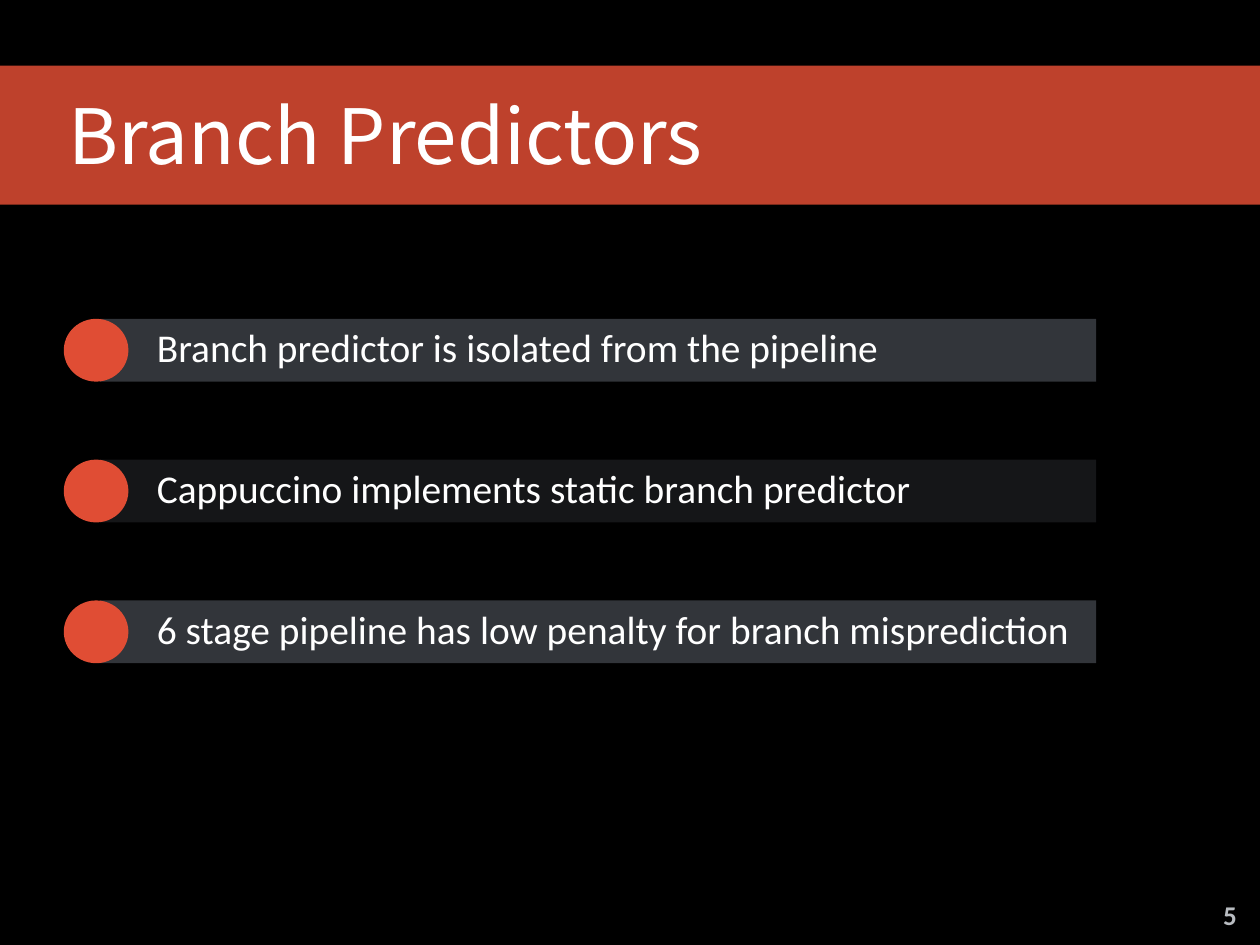
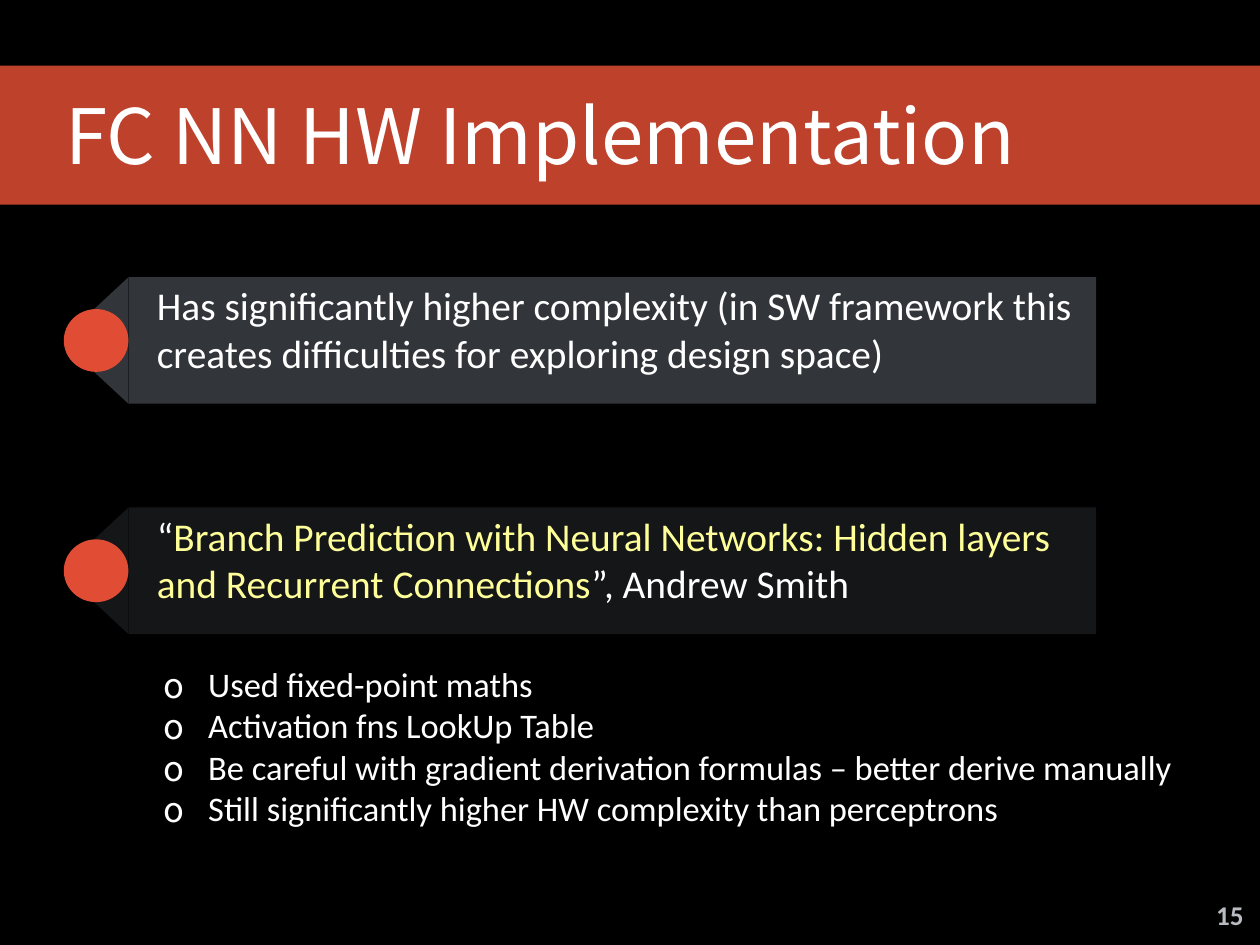
import lxml.etree
import pptx
import pptx.dml.color
import pptx.enum.shapes
import pptx.enum.text
import pptx.oxml.ns
import pptx.util

COLORS = {
    "background": "000000",
    "accent": "E04D34",
    "light bar": "32353A",
    "dark bar": "151618",
    "text": "FFFFFF",
    "highlight": "FFFF99",
    "number": "B8BCC1",
}
BODY_FONT = "Calibri"
TITLE_FONT = "Noto Sans CJK SC"
SHAPES = pptx.enum.shapes.MSO_SHAPE


def color(name):
    """Return the named colour."""
    return pptx.dml.color.RGBColor.from_string(COLORS[name])


def add_element(parent, tag, **attributes):
    """Append a DrawingML element to the parent."""
    return lxml.etree.SubElement(parent, pptx.oxml.ns.qn(tag), attributes)


def write(paragraph, text, size=32, font=BODY_FONT, fill="text", bold=False):
    """Add a formatted run to the paragraph."""
    run = paragraph.add_run()
    run.text = text
    run.font.size = pptx.util.Pt(size)
    run.font.name = font
    run.font.bold = bold
    run.font.color.rgb = color(fill)


class Deck:
    """Hold the style and the current slide, on a grid of 100 columns and 100 rows."""

    dot_left, dot_width, dot_height = 5.06, 5.13, 6.65
    text_left, bar_right = 12.1, 87

    def __init__(self):
        """Start an empty presentation."""
        self.presentation = pptx.Presentation()
        self.presentation.slide_width = pptx.util.Inches(14.22)
        self.presentation.slide_height = pptx.util.Inches(10.67)
        self.slide = None

    def x(self, columns):
        """Convert columns to a length."""
        return round(self.presentation.slide_width * columns / 100)

    def y(self, rows):
        """Convert rows to a length."""
        return round(self.presentation.slide_height * rows / 100)

    def add_slide(self, title, number, title_left=5.06):
        """Add a slide with its title band and number."""
        self.slide = self.presentation.slides.add_slide(self.presentation.slide_layouts[6])
        self.slide.background.fill.solid()
        self.slide.background.fill.fore_color.rgb = color("background")
        band = self.shape(SHAPES.RECTANGLE, 0, 6.94, 100, 14.71, "accent")
        fill = band.fill._xPr.find(".//" + pptx.oxml.ns.qn("a:srgbClr"))
        add_element(fill, "a:alpha", val="85000")
        frame = self.text_frame(title_left, 8.9, 100 - title_left, 10.78)
        write(frame.paragraphs[0], title, size=62, font=TITLE_FONT)
        frame = self.text_frame(95.92, 94.47, 3.38, 4.5, inset=0.06, wrap=False)
        frame.paragraphs[0].alignment = pptx.enum.text.PP_ALIGN.CENTER
        write(frame.paragraphs[0], str(number), size=22, fill="number", bold=True)

    def shape(self, kind, left, top, width, height, fill):
        """Add a plain filled shape."""
        shape = self.slide.shapes.add_shape(
            kind, self.x(left), self.y(top), self.x(width), self.y(height))
        shape.shadow.inherit = False
        shape.fill.solid()
        shape.fill.fore_color.rgb = color(fill)
        shape.line.fill.background()
        return shape

    def text_frame(self, left, top, width, height, inset=0.05, wrap=True):
        """Add a text box and return its frame."""
        frame = self.slide.shapes.add_textbox(
            self.x(left), self.y(top), self.x(width), self.y(height)).text_frame
        frame.word_wrap = wrap
        frame.margin_left = frame.margin_right = pptx.util.Inches(inset)
        frame.margin_top = frame.margin_bottom = pptx.util.Inches(inset)
        return frame

    def point(self, left, top, width, height, fill):
        """Add a trapezoid that narrows to the left."""
        shape = self.shape(SHAPES.TRAPEZOID, left, top, width, height, fill)
        shape.adjustments[0] = 0.93
        across, down = shape.width, shape.height
        shape.left += (across - down) // 2
        shape.top += (down - across) // 2
        shape.width, shape.height = down, across
        shape.rotation = 270

    def bar(self, top, height, fill, pieces, left=7.95, point_left=None):
        """Add a bar with its dot and text."""
        self.shape(SHAPES.RECTANGLE, left, top, self.bar_right - left, height, fill)
        if point_left is not None:
            self.point(point_left, top, left - point_left, height, fill)
        self.shape(SHAPES.OVAL, self.dot_left, top + (height - self.dot_height) / 2,
                   self.dot_width, self.dot_height, "accent")
        frame = self.text_frame(self.text_left, top, self.bar_right - self.text_left, height)
        for text, text_fill in pieces:
            write(frame.paragraphs[0], text, fill=text_fill)

    def bars(self, entries, top, step, height, **form):
        """Add evenly spaced bars in alternating shades."""
        for index, pieces in enumerate(entries):
            fill = ("light bar", "dark bar")[index % 2]
            self.bar(top + index * step, height, fill, pieces, **form)

    def bullets(self, lines, left, top, width, height):
        """Add a bulleted list."""
        frame = self.text_frame(left, top, width, height, inset=0.06)
        frame.vertical_anchor = pptx.enum.text.MSO_ANCHOR.MIDDLE
        indent = pptx.util.Inches(0.5)
        for index, line in enumerate(lines):
            paragraph = frame.add_paragraph() if index else frame.paragraphs[0]
            properties = paragraph._p.get_or_add_pPr()
            properties.set("marL", str(indent))
            properties.set("indent", str(-indent))
            bullet_color = add_element(properties, "a:buClr")
            add_element(bullet_color, "a:srgbClr", val=COLORS["text"])
            add_element(properties, "a:buFont", typeface=TITLE_FONT)
            add_element(properties, "a:buChar", char="o")
            write(paragraph, line, size=28)


def main():
    """Build and save the slides."""
    deck = Deck()
    deck.add_slide("Branch Predictors", 5)
    deck.bars([
        [("Branch predictor is isolated from the pipeline", "text")],
        [("Cappuccino implements static branch predictor", "text")],
        [("6 stage pipeline has low penalty for branch misprediction", "text")],
    ], top=33.74, step=14.9, height=6.65)

    deck.add_slide("FC NN HW Implementation", 15, title_left=4.85)
    deck.bars([
        [("Has significantly higher complexity (in SW framework this creates "
          "difficulties for exploring design space)", "text")],
        [("“", "text"),
         ("Branch Prediction with Neural Networks: Hidden layers and "
          "Recurrent Connections", "highlight"),
         ("”, Andrew Smith", "text")],
    ], top=29.33, step=24.37, height=13.4, left=10.2, point_left=6.33)
    deck.bullets([
        "Used fixed-point maths",
        "Activation fns LookUp Table",
        "Be careful with gradient derivation formulas – better derive manually",
        "Still significantly higher HW complexity than perceptrons",
    ], 12.59, 69.54, 83.19, 18.74)
    deck.presentation.save("out.pptx")


if __name__ == "__main__":
    main()
